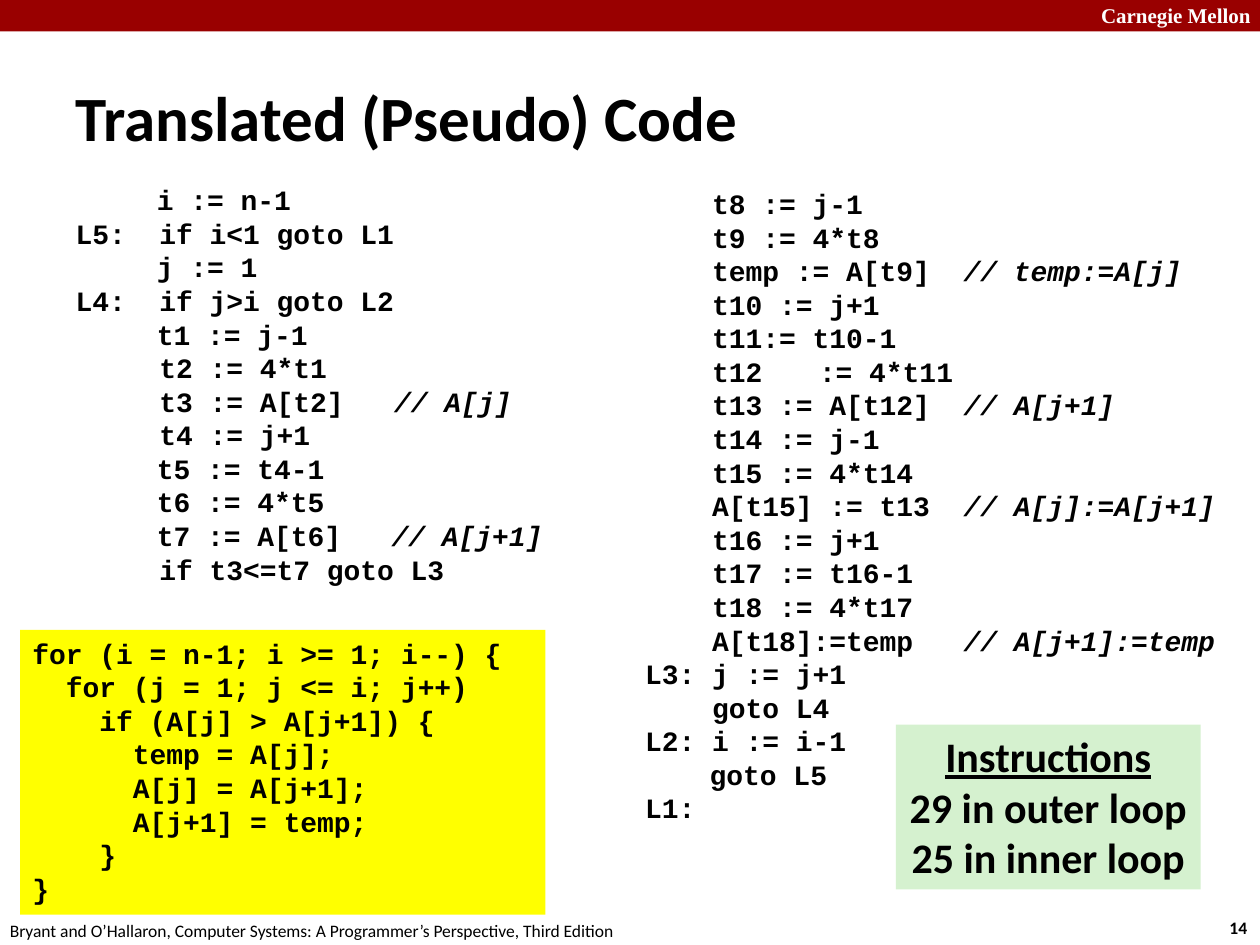
from dataclasses import dataclass

from lxml import etree
from pptx import Presentation
from pptx.dml.color import RGBColor
from pptx.enum.shapes import MSO_SHAPE
from pptx.enum.text import MSO_ANCHOR, MSO_AUTO_SIZE, PP_ALIGN
from pptx.oxml.ns import qn
from pptx.util import Inches, Pt

RECTANGLE = MSO_SHAPE.RECTANGLE
LEFT, CENTER = PP_ALIGN.LEFT, PP_ALIGN.CENTER
TOP, MIDDLE = MSO_ANCHOR.TOP, MSO_ANCHOR.MIDDLE
NO_AUTOFIT = MSO_AUTO_SIZE.NONE
TWO_CONTENT_LAYOUT = 3

SETUP_CODE = """\
\t  i := n-1
L5:  if i<1 goto L1
\t  j := 1
L4:  if j>i goto L2
\t  t1 := j-1
     t2 := 4*t1
     t3 := A[t2]   // A[j]
     t4 := j+1\v  t5 := t4-1
\t  t6 := 4*t5
\t  t7 := A[t6]   // A[j+1]
     if t3<=t7 goto L3"""

SWAP_CODE = """\
    t8 := j-1
    t9 := 4*t8
    temp := A[t9]  // temp:=A[j]
    t10 := j+1
    t11:= t10-1
    t12\t:= 4*t11
    t13 := A[t12]  // A[j+1]
    t14 := j-1
    t15 := 4*t14
    A[t15] := t13  // A[j]:=A[j+1]
    t16 := j+1
    t17 := t16-1
    t18 := 4*t17
    A[t18]:=temp   // A[j+1]:=temp
L3: j := j+1
    goto L4
L2: i := i-1
\t goto L5
L1:"""

SOURCE_CODE = """\
for (i = n-1; i >= 1; i--) {
  for (j = 1; j <= i; j++)
    if (A[j] > A[j+1]) {\v      temp = A[j];
      A[j] = A[j+1];\v      A[j+1] = temp;
    }
}"""

INSTRUCTION_COUNTS = """\
Instructions
29 in outer loop
25 in inner loop"""

FOOTER = "Bryant and O’Hallaron, Computer Systems: A Programmer’s Perspective, Third Edition"


@dataclass(frozen=True)
class Theme:
    """Colours, fonts and type sizes of the slide."""

    ink: RGBColor = RGBColor(0x00, 0x00, 0x00)
    paper: RGBColor = RGBColor(0xFF, 0xFF, 0xFF)
    banner: RGBColor = RGBColor(0x99, 0x00, 0x00)
    source: RGBColor = RGBColor(0xFF, 0xFF, 0x00)
    counts: RGBColor = RGBColor(0xD5, 0xF1, 0xCF)
    sans: str = "Calibri"
    mono: str = "Courier New"
    serif: str = "Times New Roman"
    title_size: int = 36
    counts_size: int = 24
    code_size: int = 16
    banner_size: int = 12
    footer_size: int = 10
    code_pitch: float = 19.2


def write_text(frame, text, *, font, size, color, bold=True, align=LEFT, anchor=TOP,
               wrap=True, indent=0, pitch=None, underline_first=False):
    """Fill a text frame, one paragraph per line, with // comments in italics."""
    frame.auto_size = NO_AUTOFIT
    frame.word_wrap = wrap
    frame.vertical_anchor = anchor
    for index, line in enumerate(text.split("\n")):
        paragraph = frame.add_paragraph() if index else frame.paragraphs[0]
        properties = paragraph._p.get_or_add_pPr()
        properties.set("marL", str(Inches(indent)))
        properties.set("indent", str(-Inches(indent)))
        etree.SubElement(properties, qn("a:buNone"))
        paragraph.alignment = align
        paragraph.space_before = Pt(0)
        if pitch:
            paragraph.line_spacing = Pt(pitch)
        code, slashes, comment = line.partition("//")
        for row, part in enumerate(code.split("\v")):
            if row:
                paragraph.add_line_break()
            paragraph.add_run().text = part
        if slashes:
            paragraph.add_run().text = slashes + comment
        for run in paragraph.runs:
            run.font.name = font
            run.font.size = Pt(size)
            run.font.bold = bold
            run.font.color.rgb = color
            run.font.italic = run.text.startswith("//")
            run.font.underline = underline_first and index == 0


class SlideBuilder:
    """Hold the theme and the current slide, and add elements to it."""

    def __init__(self, slide, theme):
        self.slide = slide
        self.theme = theme

    def placeholder(self, number, box, text, **style):
        """Move a template placeholder and fill it."""
        shape = self.slide.placeholders[number]
        shape.left, shape.top, shape.width, shape.height = map(Inches, box)
        write_text(shape.text_frame, text, color=self.theme.ink, **style)

    def label(self, box, text, **style):
        """Add a plain text box."""
        shape = self.slide.shapes.add_textbox(*map(Inches, box))
        write_text(shape.text_frame, text, **style)

    def panel(self, box, fill, text="", **style):
        """Add a filled rectangle, with text if given."""
        shape = self.slide.shapes.add_shape(RECTANGLE, *map(Inches, box))
        shape.shadow.inherit = False
        shape.fill.solid()
        shape.fill.fore_color.rgb = fill
        shape.line.fill.background()
        if text:
            write_text(shape.text_frame, text, color=self.theme.ink, **style)


def main():
    """Build and save the slide."""
    theme = Theme()
    presentation = Presentation()
    presentation.slide_width, presentation.slide_height = Inches(10), Inches(7.5)
    layout = presentation.slide_layouts[TWO_CONTENT_LAYOUT]
    builder = SlideBuilder(presentation.slides.add_slide(layout), theme)
    code_style = dict(font=theme.mono, size=theme.code_size, pitch=theme.code_pitch)
    footer_style = dict(font=theme.sans, size=theme.footer_size, color=theme.ink, wrap=False)

    builder.panel((0, 0, 10, 0.25), theme.banner)
    builder.label((8.64, -0.03, 1.43, 0.3), "Carnegie Mellon", font=theme.serif,
                  size=theme.banner_size, color=theme.paper)
    builder.label((9.66, 7.23, 0.37, 0.27), "14", **footer_style)
    builder.label((-0.02, 7.25, 5.08, 0.27), FOOTER, bold=False, **footer_style)

    builder.placeholder(0, (0.5, 0.3, 9, 1.25), "Translated (Pseudo) Code", font=theme.sans,
                        size=theme.title_size, anchor=MIDDLE, indent=0.13)
    builder.placeholder(1, (0.5, 1.4, 4.42, 5.45), SETUP_CODE, indent=0.38, **code_style)
    builder.placeholder(2, (5.02, 1.43, 4.82, 5.45), SWAP_CODE, indent=0.38, **code_style)

    builder.panel((0.16, 5, 4.17, 2.26), theme.source, SOURCE_CODE, **code_style)
    builder.panel((7.11, 5.75, 2.42, 1.31), theme.counts, INSTRUCTION_COUNTS, font=theme.sans,
                  size=theme.counts_size, align=CENTER, wrap=False, underline_first=True)
    presentation.save("out.pptx")


if __name__ == "__main__":
    main()
